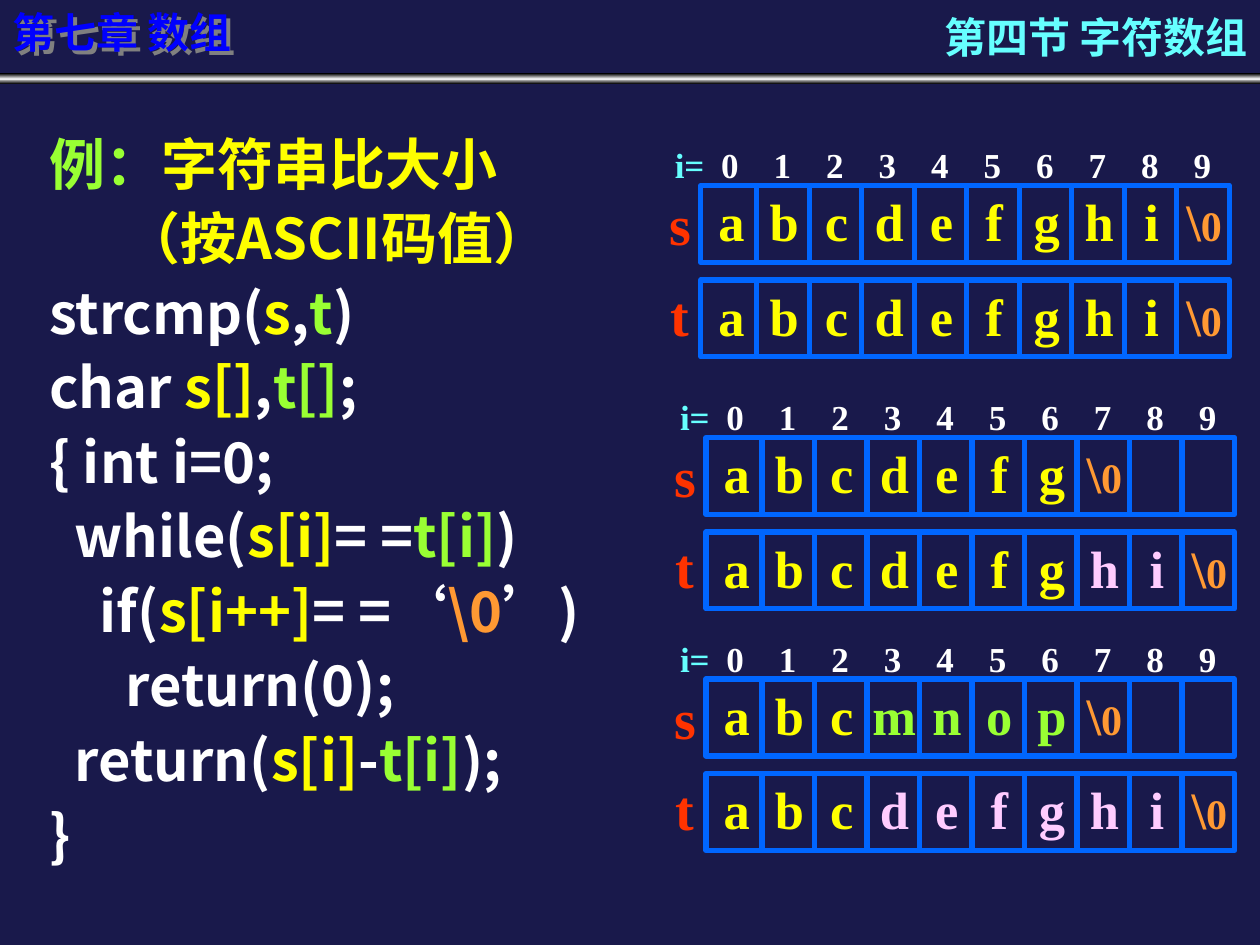
"""Build a slide on comparing strings with strcmp, with three worked array diagrams."""
from copy import deepcopy

from lxml import etree
from pptx import Presentation
from pptx.dml import color
from pptx.enum import shapes, text
from pptx.oxml import ns
from pptx.util import Pt

SANS, SERIF = "Noto Sans CJK SC", "Times New Roman"
NAVY, BLUE, FRAME, CYAN = "19194B", "0000FF", "0066FF", "66FFFF"
YELLOW, GREEN, WHITE = "FFFF00", "99FF33", "FFFFFF"
ORANGE, RED, PINK = "FF9933", "FF3300", "FFCCFF"

CODE = [
    [("例：", GREEN), ("字符串比大小", YELLOW)],
    [("（按ASCII码值）", YELLOW)],
    [("strcmp(", WHITE), ("s", YELLOW), (",", WHITE), ("t", GREEN), (")", WHITE)],
    [("char ", WHITE), ("s[]", YELLOW), (",", WHITE), ("t[]", GREEN), (";", WHITE)],
    [("{ int i=0;", WHITE)],
    [("  while(", WHITE), ("s[i]", YELLOW), ("= =", WHITE), ("t[i]", GREEN), (")", WHITE)],
    [("    if(", WHITE), ("s[i++]", YELLOW), ("= =‘", WHITE), ("\\0", ORANGE), ("’)", WHITE)],
    [("      return(0);", WHITE)],
    [("  return(", WHITE), ("s[i]", YELLOW), ("-", WHITE), ("t[i]", GREEN), (");", WHITE)],
    [("}", WHITE)],
]
SUBTITLE_LINE, SUBTITLE_INDENT = 1, 43
PANELS = [
    (400.5, 106, [("abcdefghi", YELLOW)], [("abcdefghi", YELLOW)]),
    (403.5, 250, [("abcdefg", YELLOW)], [("abcdefg", YELLOW), ("hi", PINK)]),
    (403.5, 388, [("abc", YELLOW), ("mnop", GREEN)], [("abc", YELLOW), ("defghi", PINK)]),
]
CELLS, PITCH, FIRST_CELL = 10, 30, 32
ROW_WIDTH, ROW_HEIGHT, ROW_STEP = 302, 44, 54


def rgb(value):
    return color.RGBColor.from_string(value)


def add_runs(paragraph, runs, font, size):
    for content, fill, *own_size in runs:
        run = paragraph.add_run()
        run.text = content
        run.font.name, run.font.bold = font, True
        run.font.size = Pt(own_size[0] if own_size else size)
        run.font.color.rgb = rgb(fill)
        east_asian = etree.SubElement(run.font._element, ns.qn("a:ea"))
        east_asian.set("typeface", font)


def add_tabs(paragraph, first):
    tabs = etree.SubElement(paragraph._p.get_or_add_pPr(), ns.qn("a:tabLst"))
    for index in range(CELLS):
        position = str(Pt(first + index * PITCH))
        etree.SubElement(tabs, ns.qn("a:tab"), pos=position, algn="ctr")


def add_text(parent, box, lines, font, size, align="LEFT", middle=True, wrap=True, first_tab=None):
    shape = parent.shapes.add_textbox(*map(Pt, box))
    frame = shape.text_frame
    frame.word_wrap = wrap
    frame.vertical_anchor = text.MSO_ANCHOR.MIDDLE if middle else text.MSO_ANCHOR.TOP
    for index, runs in enumerate(lines):
        paragraph = frame.add_paragraph() if index else frame.paragraphs[0]
        paragraph.alignment = getattr(text.PP_ALIGN, align)
        if first_tab is not None:
            add_tabs(paragraph, first_tab)
        add_runs(paragraph, runs, font, size)
    return shape


def add_header(slide):
    band = slide.shapes.add_shape(shapes.MSO_SHAPE.RECTANGLE, Pt(0), Pt(42), Pt(720), Pt(6))
    band.shadow.inherit = False
    band.line.fill.background()
    band.fill.gradient()
    band.fill.gradient_angle = 90
    first = band.fill.gradient_stops[0]._gs
    first.addnext(deepcopy(first))
    for stop, (position, value) in zip(
        band.fill.gradient_stops, [(0, "000000"), (0.5, "EEEEEE"), (1, "000000")]
    ):
        stop.position, stop.color.rgb = position, rgb(value)

    chapter = add_text(slide, (0, 0, 222, 30), [[("第七章 数组", BLUE)]], SANS, 24, middle=False)
    chapter.shadow.inherit = False
    effects = chapter._element.spPr.find(ns.qn("a:effectLst"))
    shadow = etree.SubElement(effects, ns.qn("a:outerShdw"), dist=str(Pt(3.2)), dir="2700000")
    etree.SubElement(shadow, ns.qn("a:srgbClr"), val="808080")
    add_text(slide, (438, 0, 282, 42), [[("第四节 字符数组", CYAN)]], SANS, 24, "RIGHT")


def add_code(slide):
    shape = add_text(slide, (21, 66, 681, 444), CODE, SANS, 32, middle=False)
    for paragraph in shape.text_frame.paragraphs:
        paragraph.line_spacing = Pt(42.6)
    subtitle = shape.text_frame.paragraphs[SUBTITLE_LINE]
    subtitle._p.get_or_add_pPr().set("marL", str(Pt(SUBTITLE_INDENT)))


def add_row(group, left, top, name, segments):
    frame = group.shapes.add_shape(
        shapes.MSO_SHAPE.RECTANGLE, *map(Pt, (left, top, ROW_WIDTH, ROW_HEIGHT))
    )
    frame.shadow.inherit = False
    frame.fill.background()
    frame.line.color.rgb, frame.line.width = rgb(FRAME), Pt(3)
    for index in range(CELLS - 1):
        x = left + FIRST_CELL + index * PITCH
        divider = group.shapes.add_connector(
            shapes.MSO_CONNECTOR.STRAIGHT, *map(Pt, (x, top, x, top + ROW_HEIGHT))
        )
        divider.line.color.rgb, divider.line.width = rgb(FRAME), Pt(3)
        etree.SubElement(divider._element.spPr, ns.qn("a:effectLst"))

    runs = [("\t".join(letters) + "\t", fill) for letters, fill in segments]
    runs += [("\\", ORANGE), ("0", ORANGE, 24)]
    letters = add_text(
        group, (left + 3, top - 1.5, ROW_WIDTH, 43), [runs], SERIF, 30, first_tab=7.5
    )
    letters.text_frame.margin_right = 0
    rise = 1.5 if name == "s" else 3.5
    add_text(group, (left - 25, top - rise, 26, 46), [[(name, RED)]], SERIF, 32, "CENTER", wrap=False)


def add_panel(slide, left, top, s_row, t_row):
    group = slide.shapes.add_group_shape()
    add_row(group, left, top, "s", s_row)
    add_row(group, left, top + ROW_STEP, "t", t_row)
    digits = "".join(f"\t{index}" for index in range(CELLS))
    runs = [("i=", CYAN), (digits, WHITE)]
    add_text(group, (left - 22, top - 28, 326, 32), [runs], SERIF, 20, first_tab=31.5)


def main():
    presentation = Presentation()
    presentation.slide_width, presentation.slide_height = Pt(720), Pt(540)
    slide = presentation.slides.add_slide(presentation.slide_layouts[6])
    slide.background.fill.solid()
    slide.background.fill.fore_color.rgb = rgb(NAVY)
    add_header(slide)
    add_code(slide)
    for panel in PANELS:
        add_panel(slide, *panel)
    presentation.save("out.pptx")


if __name__ == "__main__":
    main()
